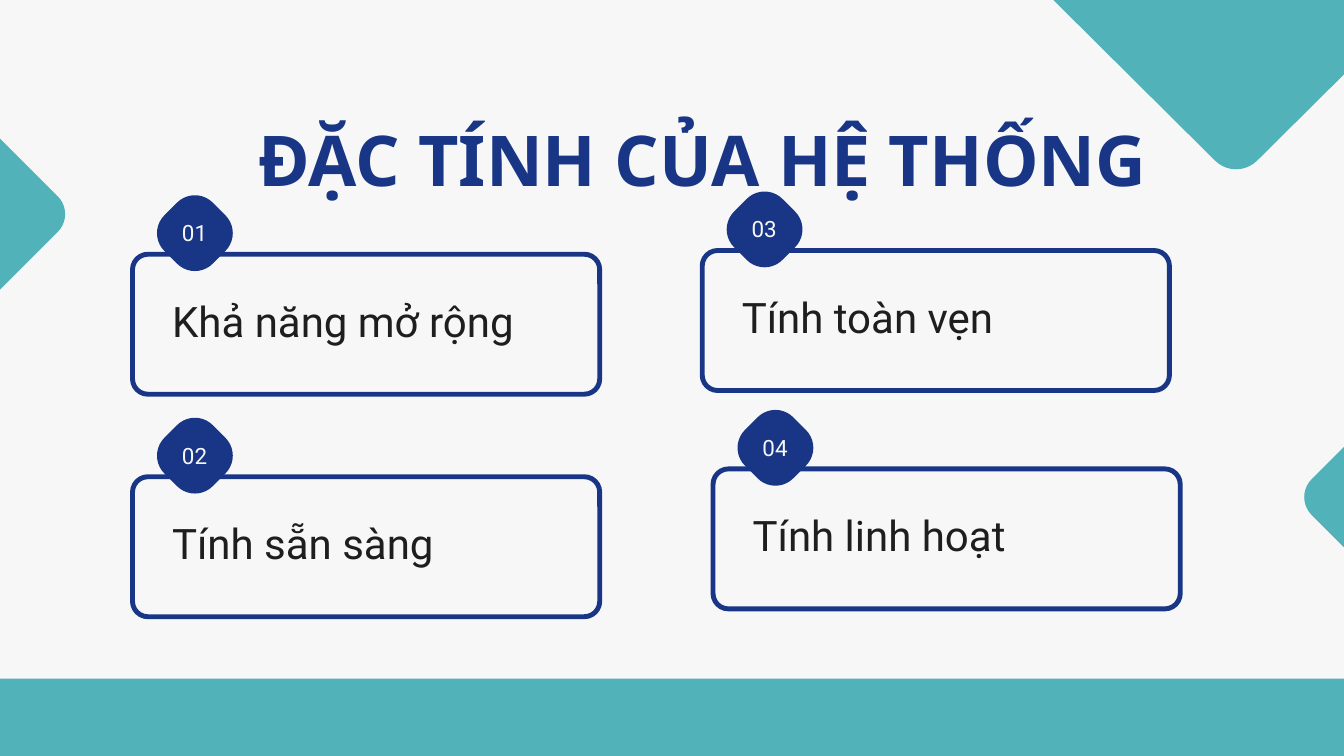
from math import cos, radians, sin

from pptx import Presentation
from pptx.dml.color import RGBColor
from pptx.enum.shapes import MSO_SHAPE as Shape
from pptx.enum.text import MSO_ANCHOR as Anchor, PP_ALIGN as Align
from pptx.util import Pt

COLORS = {"background": "F7F7F7", "teal": "51B2BA", "navy": "183685", "ink": "1E1E1E"}
COLORS = {name: RGBColor.from_string(value) for name, value in COLORS.items()}

presentation = Presentation()
presentation.slide_width, presentation.slide_height = Pt(1440), Pt(810)
slide = presentation.slides.add_slide(presentation.slide_layouts[6])
slide.background.fill.solid()
slide.background.fill.fore_color.rgb = COLORS["background"]


def add_outline(points, color):
    """Draw a filled closed outline through points given in points."""
    start, *rest = [(Pt(x), Pt(y)) for x, y in points]
    builder = slide.shapes.build_freeform(*start)
    builder.add_line_segments(rest, close=True)
    shape = builder.convert_to_shape()
    shape.shadow.inherit = False
    shape.fill.solid()
    shape.fill.fore_color.rgb = COLORS[color]
    shape.line.fill.background()


def add_text(text, box, spacing, align, anchor, margin, font):
    shape = slide.shapes.add_textbox(*map(Pt, box))
    frame = shape.text_frame
    frame.word_wrap = True
    frame.vertical_anchor = anchor
    for side in ("left", "top", "right", "bottom"):
        setattr(frame, f"margin_{side}", Pt(margin))
    paragraph = frame.paragraphs[0]
    paragraph.text = text
    paragraph.alignment = align
    paragraph.line_spacing = Pt(spacing)
    paragraph.font.color.rgb = COLORS[font["color"]]
    for name in ("name", "size", "bold"):
        setattr(paragraph.font, name, font[name])


# Large corner wedge with a rounded tip
tip = [(1324.4 + 32 * cos(radians(a)), 149.4 + 32 * sin(radians(a)))
       for a in range(45, 136, 9)]
add_outline([(616, -540), (2033, -540), (2046, -522), *tip, (603, -522)], "teal")

# Bottom band
band = slide.shapes.add_shape(Shape.RECTANGLE, Pt(-81), Pt(727.2), Pt(1694), Pt(165))
band.shadow.inherit = False
band.fill.solid()
band.fill.fore_color.rgb = COLORS["teal"]
band.line.fill.background()

# Cards: number, label, left, top
CARDS = [
    ("01", "Khả năng mở rộng", 142, 272.4),
    ("02", "Tính sẵn sàng", 142, 510.8),
    ("03", "Tính toàn vẹn", 752.4, 268.4),
    ("04", "Tính linh hoạt", 764, 502.4),
]
for number, label, left, top in CARDS:
    card = slide.shapes.add_shape(Shape.ROUNDED_RECTANGLE, Pt(left), Pt(top),
                                  Pt(500.6), Pt(150))
    card.adjustments[0] = 0.11
    card.shadow.inherit = False
    card.fill.background()
    card.line.color.rgb = COLORS["navy"]
    card.line.width = Pt(5.25)

# Rounded diamonds: side decorations and card badges (centre x, centre y, half width)
RADIUS = 27
diamonds = [(-67.4, 229.4, 137.2, "teal"), (1496.4, 532.6, 99, "teal")]
diamonds += [(left + 66.8, top - 22.6, 40.6, "navy") for _, _, left, top in CARDS]
for x, y, half, color in diamonds:
    reach = half - RADIUS
    add_outline([(x + reach * cos(radians(corner)) + RADIUS * cos(radians(corner + turn)),
                  y + reach * sin(radians(corner)) + RADIUS * sin(radians(corner + turn)))
                 for corner in range(0, 360, 90) for turn in range(-45, 46, 9)], color)

# Text on cards
NUMBER_FONT = {"name": "Roboto", "size": Pt(24), "bold": False, "color": "background"}
LABEL_FONT = {"name": "Roboto", "size": Pt(45), "bold": False, "color": "ink"}
TITLE_FONT = {"name": "Noto Sans", "size": Pt(75), "bold": True, "color": "navy"}
for number, label, left, top in CARDS:
    add_text(number, (left + 32.6, top - 62.6, 67.7, 74.2), 33.6,
             Align.CENTER, Anchor.MIDDLE, 4, NUMBER_FONT)
    add_text(label, (left + 42.4, top + 35, 417.6, 60), 63,
             Align.JUSTIFY, Anchor.TOP, 0, LABEL_FONT)

# Title
add_text("ĐẶC TÍNH CỦA HỆ THỐNG", (247.7, 146.9, 1009.4, 73.4), 67.5,
         Align.CENTER, Anchor.TOP, 0, TITLE_FONT)

presentation.save("out.pptx")
